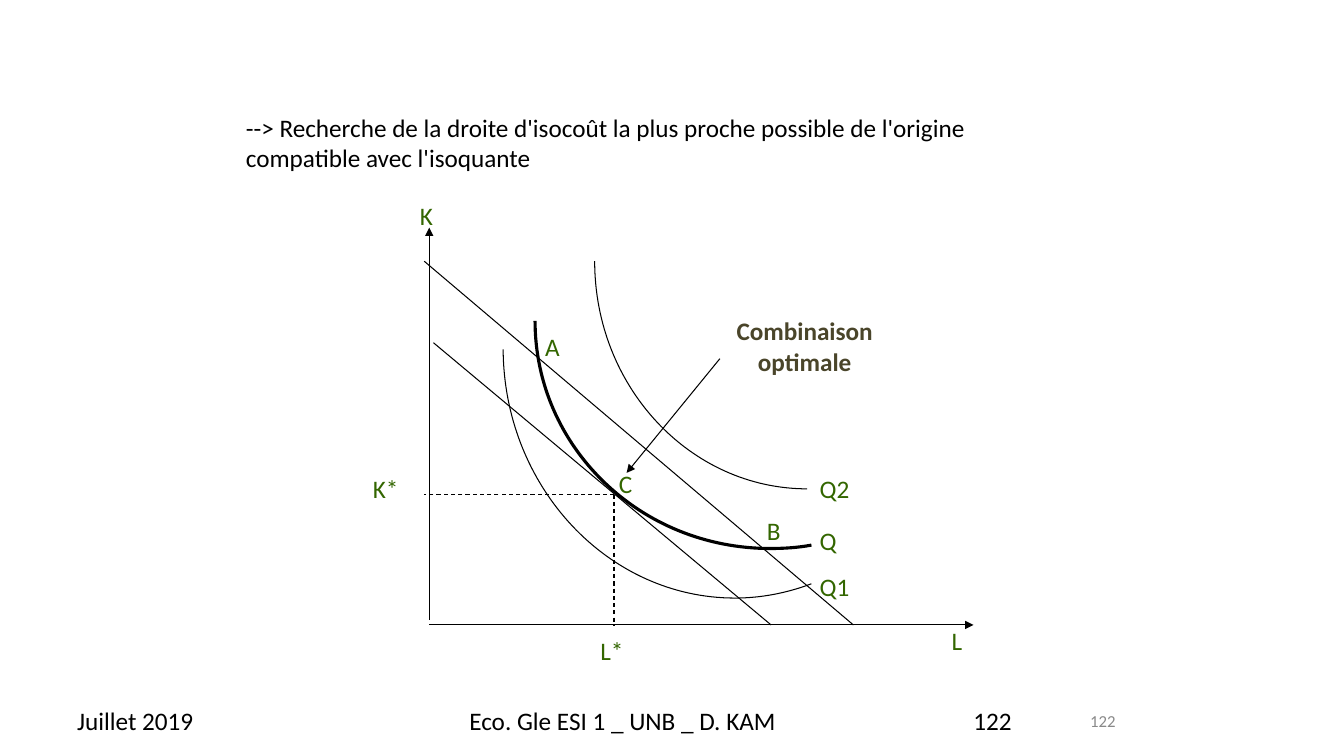
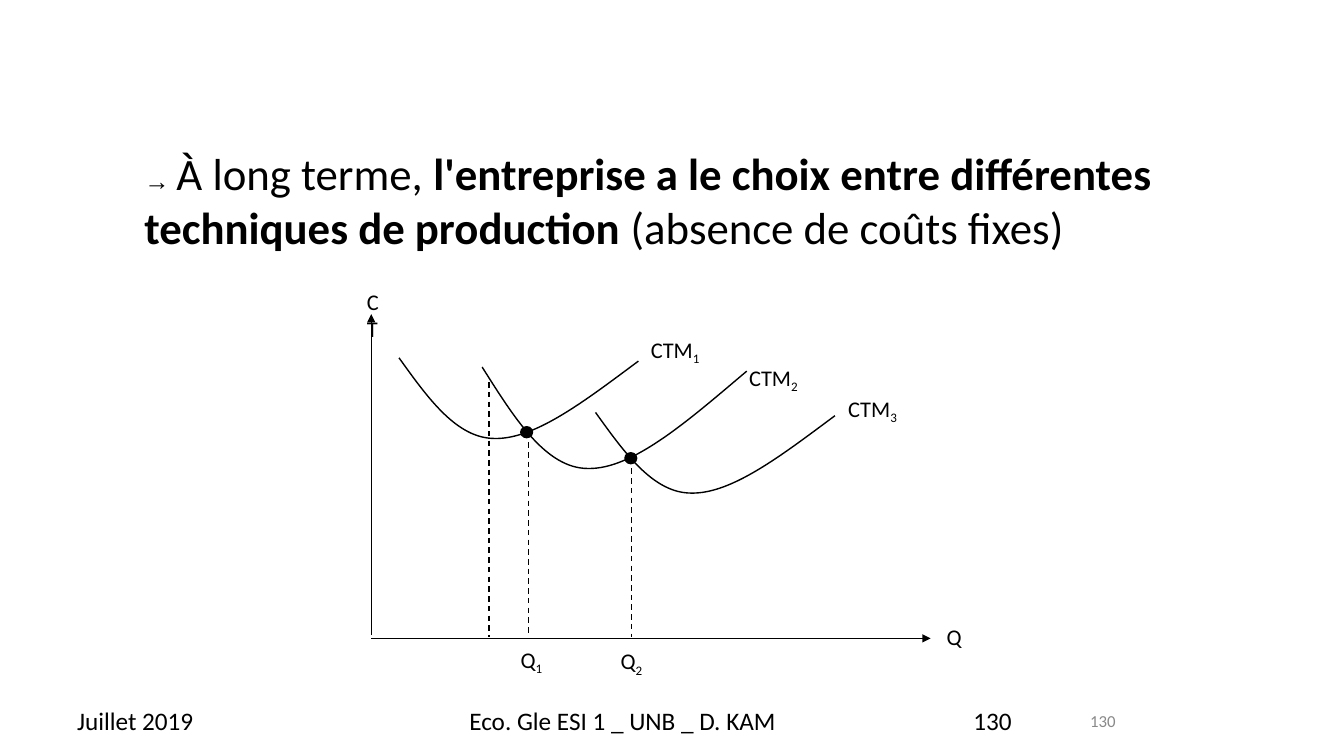
from dataclasses import dataclass

import pptx
import pptx.dml.color
import pptx.enum.dml
import pptx.enum.shapes
import pptx.enum.text
import pptx.oxml
import pptx.oxml.ns
import pptx.util

ALIGN = pptx.enum.text.PP_ALIGN
COLUMNS, ROWS = 160, 90
SLIDE_WIDTH, SLIDE_HEIGHT = pptx.util.Inches(13.33), pptx.util.Inches(7.5)


@dataclass(frozen=True)
class Theme:
    font: str = "Calibri"
    arrow_font: str = "Arial"
    ink: str = "000000"
    green: str = "336600"
    brown: str = "4A452A"
    grey: str = "898989"
    lead: int = 32
    body: int = 18
    label: int = 16
    small: int = 12
    thin: float = 0.75
    medium: float = 1
    thick: float = 2.25


THEME = Theme()


def col(count):
    return round(SLIDE_WIDTH * count / COLUMNS)


def row(count):
    return round(SLIDE_HEIGHT * count / ROWS)


def place(left, top, width, height):
    return col(left), row(top), col(width), row(height)


def rgb(value):
    return pptx.dml.color.RGBColor.from_string(value)


def style_run(run, size, color=THEME.ink, bold=False, font=THEME.font):
    run.font.size = pptx.util.Pt(size)
    run.font.name = font
    run.font.bold = bold
    run.font.color.rgb = rgb(color)


def add_text(slide, words, area, size=THEME.body, color=THEME.ink,
             bold=False, align=ALIGN.LEFT, middle=False):
    frame = slide.shapes.add_textbox(*place(*area)).text_frame
    frame.word_wrap = True
    if middle:
        frame.vertical_anchor = pptx.enum.text.MSO_ANCHOR.MIDDLE
    frame.text = words
    paragraph = frame.paragraphs[0]
    paragraph.alignment = align
    for run in paragraph.runs:
        style_run(run, size, color, bold)
    return paragraph


def add_subscripted(slide, symbol, index, area):
    paragraph = add_text(slide, symbol, area, THEME.label)
    subscript = paragraph.add_run()
    subscript.text = index
    style_run(subscript, THEME.label)
    subscript.font._element.set("baseline", "-25000")


def add_line(slide, start, end, weight, arrow=False, dashed=False):
    segment = slide.shapes.add_connector(
        pptx.enum.shapes.MSO_CONNECTOR.STRAIGHT,
        col(start[0]), row(start[1]), col(end[0]), row(end[1]))
    segment.line.color.rgb = rgb(THEME.ink)
    segment.line.width = pptx.util.Pt(weight)
    if dashed:
        segment.line.dash_style = pptx.enum.dml.MSO_LINE.DASH
    properties = segment._element.spPr
    if arrow:
        head = pptx.oxml.parse_xml(
            f'<a:tailEnd {pptx.oxml.ns.nsdecls("a")} type="triangle"/>')
        properties.find(pptx.oxml.ns.qn("a:ln")).append(head)
    properties.append(pptx.oxml.parse_xml(
        f'<a:effectLst {pptx.oxml.ns.nsdecls("a")}/>'))


def add_curve(slide, points, weight):
    corners = [(col(x), row(y)) for x, y in points]
    builder = slide.shapes.build_freeform(*corners[0])
    builder.add_line_segments(corners[1:], close=False)
    curve = builder.convert_to_shape()
    curve.shadow.inherit = False
    curve.fill.background()
    curve.line.color.rgb = rgb(THEME.ink)
    curve.line.width = pptx.util.Pt(weight)
    steps = list(curve._element.iter(pptx.oxml.ns.qn("a:lnTo")))
    for first in range(0, len(steps), 3):
        bezier = pptx.oxml.parse_xml(
            f'<a:cubicBezTo {pptx.oxml.ns.nsdecls("a")}/>')
        steps[first].addprevious(bezier)
        for step in steps[first:first + 3]:
            bezier.append(step[0])
            step.getparent().remove(step)


def add_cost_curve(slide, left, top, width, height):
    profile = [(0, 0), (0.12, 0.49), (0.24, 0.99), (0.4, 0.99),
               (0.57, 1), (0.78, 0.52), (1, 0.04)]
    add_curve(slide, [(left + x * width, top + y * height) for x, y in profile],
              THEME.medium)


def add_dot(slide, left, top):
    dot = slide.shapes.add_shape(pptx.enum.shapes.MSO_SHAPE.OVAL,
                                 *place(left, top, 1.4, 1.3))
    dot.shadow.inherit = False
    dot.fill.solid()
    dot.fill.fore_color.rgb = rgb(THEME.ink)
    dot.line.color.rgb = rgb(THEME.ink)
    dot.line.width = pptx.util.Pt(THEME.medium)


def add_axes(slide, x, y, gap, top, right, weight):
    add_line(slide, (x, y - gap), (x, top), weight, arrow=True)
    add_line(slide, (x, y), (right, y), weight, arrow=True)


def add_footer(slide, number):
    for words, left, width in (("Juillet 2019", 8, 37.2),
                               ("Eco. Gle ESI 1 _ UNB _ D. KAM", 54.7, 50.6),
                               (number, 114.7, 37.2)):
        add_text(slide, words, (left, 83.4, width, 4.7), middle=True)
    add_text(slide, number, (106, 83.4, 28, 4.8), THEME.small, THEME.grey,
             align=ALIGN.RIGHT, middle=True)


def new_slide(deck, number):
    slide = deck.slides.add_slide(deck.slide_layouts[6])
    add_footer(slide, number)
    return slide


def build_optimal_mix(deck):
    slide = new_slide(deck, "122")
    add_text(slide, "--> Recherche de la droite d'isocoût la plus proche possible "
             "de l'origine compatible avec l'isoquante", (28.1, 12.8, 96.6, 8.5))

    axis_y = 74.4
    add_axes(slide, 51.1, axis_y, 0.6, 27.1, 115.9, THEME.thin)
    for start, end in (((51.6, 40.8), (91.8, axis_y)),
                       ((50.5, 31.1), (101.6, axis_y))):
        add_line(slide, start, end, THEME.thin)
    optimum = (73.1, 58.9)
    for foot in ((50.5, optimum[1]), (optimum[0], axis_y)):
        add_line(slide, optimum, foot, THEME.thin, dashed=True)
    add_line(slide, (85.7, 42.7), (74.6, 56.3), THEME.thin, arrow=True)

    isoquants = (
        ([(96.6, 64.9), (95, 65.2), (93.4, 65.3), (91.7, 65.3),
          (76.2, 65.3), (63.7, 53.2), (63.7, 38.2)], THEME.thick),
        ([(96.6, 69.5), (93.7, 70.6), (90.6, 71.2), (87.5, 71.2),
          (72.4, 71.2), (60, 58), (59.9, 41.6)], THEME.thin),
        ([(96.1, 58.2), (82.2, 58.2), (70.8, 46.1), (70.8, 31.1)], THEME.thin),
    )
    for points, weight in isoquants:
        add_curve(slide, points, weight)

    for name, left, top, width in (
            ("K", 48.8, 23.3, 4.9), ("L", 112.1, 73.8, 4.9),
            ("K*", 43.2, 55.7, 7.3), ("L*", 70.3, 75.1, 6),
            ("A", 63.7, 38.9, 4.4), ("B", 90.1, 60.8, 4.4),
            ("C", 72.5, 55.1, 5.4), ("Q", 96.4, 61.9, 10),
            ("Q1", 96.4, 67.4, 7.1), ("Q2", 96.4, 55.7, 6.5)):
        add_text(slide, name, (left, top, width, 7.1), color=THEME.green)
    add_text(slide, "Combinaison optimale", (84, 37, 23.6, 7.1),
             color=THEME.brown, bold=True, align=ALIGN.CENTER)


def build_long_run_costs(deck):
    slide = new_slide(deck, "130")
    statement = add_text(slide, "→ ", (16, 16.8, 127.8, 14.2))
    statement.runs[0].font.name = THEME.arrow_font
    for words, bold in (
            ("À long terme, ", False),
            ("l'entreprise a le choix entre différentes techniques de production",
             True),
            (" (absence de coûts fixes)", False)):
        phrase = statement.add_run()
        phrase.text = words
        style_run(phrase, THEME.lead, bold=bold)

    add_axes(slide, 44.2, 76, 0.4, 37.4, 110.8, THEME.medium)
    for name, left, top, width in (("CT", 42.5, 33.7, 4.8), ("Q", 111.5, 73.6, 4.4)):
        add_text(slide, name, (left, top, width, 4.4), THEME.label)

    for curve in ((47.5, 42.6, 28.5, 9.7), (57.4, 43.7, 31.5, 12.2),
                  (70.9, 49.1, 28.5, 9.7)):
        add_cost_curve(slide, *curve)
    for x, top in ((58.2, 45.5), (62.9, 51.5), (75.2, 54.6)):
        add_line(slide, (x, top), (x, 75.8), THEME.medium, dashed=True)
    for left, top in ((62, 50.8), (74.4, 53.9)):
        add_dot(slide, left, top)

    for symbol, index, left, top, width in (
            ("CTM", "1", 76.3, 39.4, 9), ("CTM", "2", 88, 42.7, 9),
            ("CTM", "3", 99.8, 46.4, 9),
            ("Q", "1", 60.8, 76.3, 5.4), ("Q", "2", 72.7, 76.5, 5.4)):
        add_subscripted(slide, symbol, index, (left, top, width, 4.4))


def main():
    deck = pptx.Presentation()
    deck.slide_width, deck.slide_height = SLIDE_WIDTH, SLIDE_HEIGHT
    build_optimal_mix(deck)
    build_long_run_costs(deck)
    deck.save("out.pptx")


if __name__ == "__main__":
    main()
